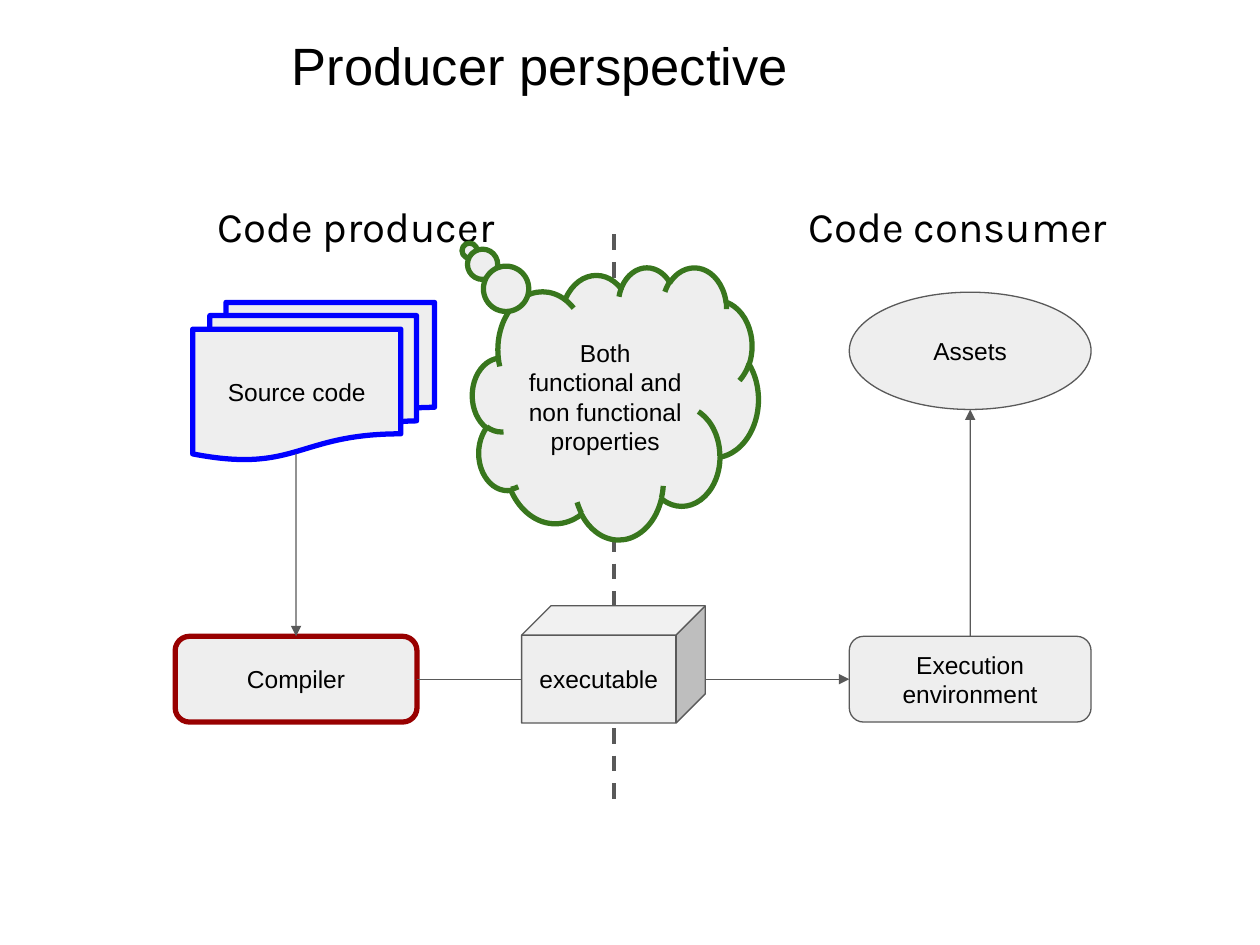
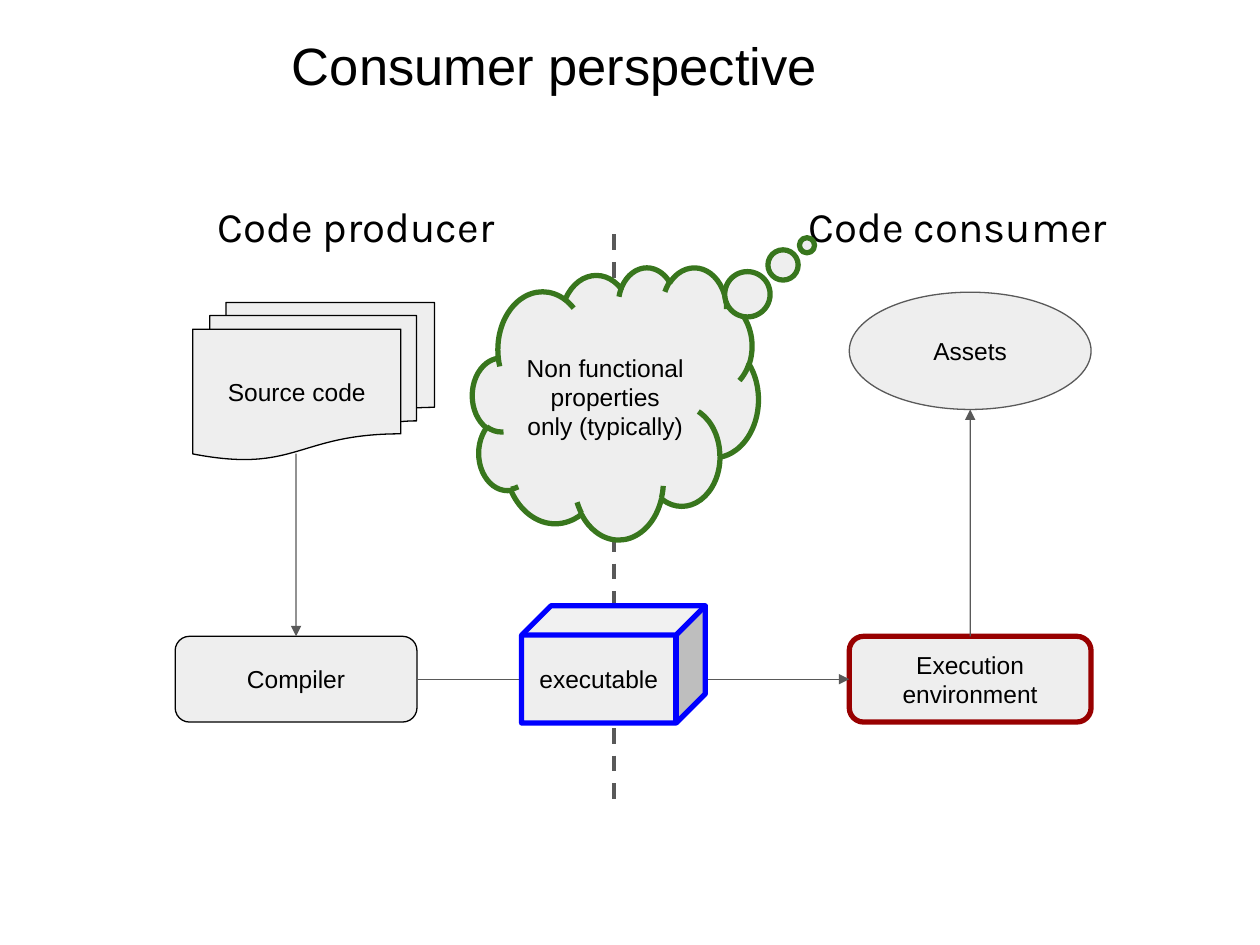
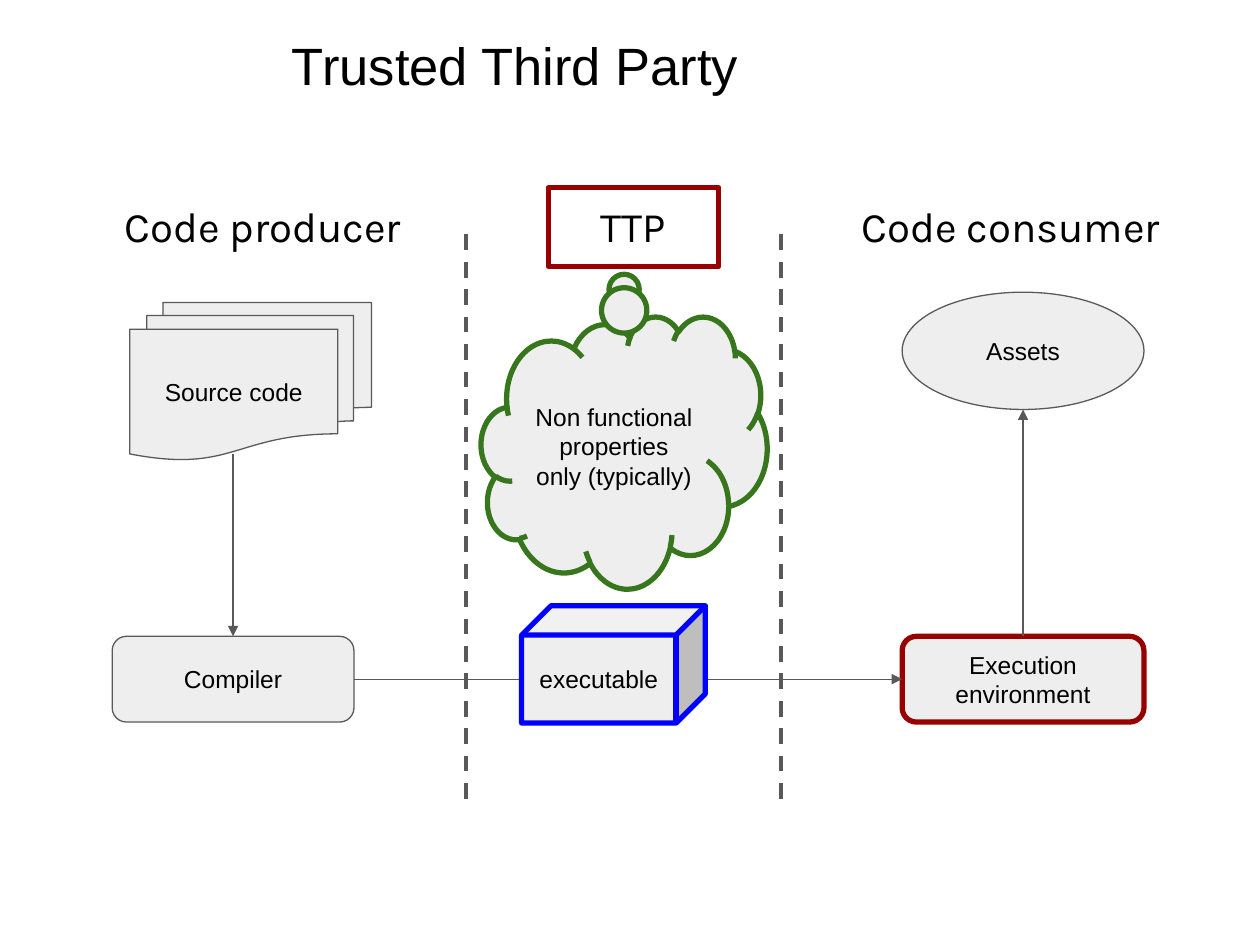
from dataclasses import dataclass
from lxml.etree import SubElement
from pptx import Presentation
from pptx.dml.color import RGBColor
from pptx.enum.dml import MSO_LINE
from pptx.enum.shapes import MSO_CONNECTOR, MSO_SHAPE
from pptx.enum.text import MSO_ANCHOR, PP_ALIGN
from pptx.oxml.ns import qn
from pptx.util import Pt

BLACK, GRAY, PALE = "000000", "595959", "EEEEEE"
RED, BLUE, GREEN = "980000", "0000FF", "38761D"
PLAIN = (GRAY, 0.75)
ACTOR, ARTIFACT, THOUGHT = (RED, 3), (BLUE, 3), (GREEN, 3)

TITLE = {"name": "Arial", "size": Pt(30)}
HEADING = {"name": "Karla", "size": Pt(24)}
LABEL = {"name": "Arial", "size": Pt(14)}
FRAME = {"word_wrap": True, "margin_left": Pt(7.2), "margin_right": Pt(7.2),
         "margin_top": Pt(7.2), "margin_bottom": Pt(7.2)}

TOP, BOTTOM = 107.3, 412.6
COLUMN_WIDTH = 138.2
STEP_HEIGHT = 49


@dataclass
class Box:
    left: float
    top: float
    width: float
    height: float

    @property
    def bottom(self):
        return self.top + self.height

    @property
    def center(self):
        return self.left + self.width / 2

    def lengths(self):
        return [Pt(value) for value in (self.left, self.top, self.width, self.height)]


def color(code):
    return RGBColor.from_string(code)


def apply_format(target, values):
    for name, value in values.items():
        setattr(target, name, value)


def write(shape, text, font, align, anchor):
    frame = shape.text_frame
    frame.text = text
    apply_format(frame, {**FRAME, "vertical_anchor": anchor})
    for paragraph in frame.paragraphs:
        paragraph.alignment = align
        for run in paragraph.runs:
            apply_format(run.font, font)
            run.font.color.rgb = color(BLACK)


def add_text(slide, box, text, font):
    label = slide.shapes.add_textbox(*box.lengths())
    write(label, text, font, PP_ALIGN.LEFT, MSO_ANCHOR.TOP)


def set_line(line, outline):
    code, width = outline
    line.color.rgb = color(code)
    line.width = Pt(width)


def add_node(slide, kind, box, text, outline=PLAIN, fill=PALE,
             font=LABEL, anchor=MSO_ANCHOR.MIDDLE):
    node = slide.shapes.add_shape(kind, *box.lengths())
    node.shadow.inherit = False
    if fill:
        node.fill.solid()
        node.fill.fore_color.rgb = color(fill)
    else:
        node.fill.background()
    set_line(node.line, outline)
    write(node, text, font, PP_ALIGN.CENTER, anchor)
    return node


def add_line(slide, start, end, outline=PLAIN, arrow=True):
    points = [Pt(value) for value in (*start, *end)]
    connector = slide.shapes.add_connector(MSO_CONNECTOR.STRAIGHT, *points)
    set_line(connector.line, outline)
    if arrow:
        SubElement(connector.line._get_or_add_ln(), qn("a:tailEnd"), type="triangle")
    SubElement(connector._element.spPr, qn("a:effectLst"))
    return connector


def add_divider(slide, x):
    divider = add_line(slide, (x, 134), (x, 461), (GRAY, 2.25), arrow=False)
    divider.line.dash_style = MSO_LINE.DASH


def step_box(box):
    return Box(box.left, box.bottom - STEP_HEIGHT, box.width, STEP_HEIGHT)


def add_producer(slide, box, heading_shift, source_line, compiler_line):
    add_text(slide, Box(box.left + heading_shift, box.top, 175.7, 60),
             "Code producer", HEADING)
    compiler = add_node(slide, MSO_SHAPE.ROUNDED_RECTANGLE, step_box(box),
                        "Compiler", compiler_line)
    source = Box(box.left + 10, box.top + 65.5, box.width, 90)
    add_node(slide, MSO_SHAPE.FLOWCHART_MULTIDOCUMENT, source, "Source code", source_line)
    compile_arrow = add_line(slide, (box.center, source.bottom - 3.6),
                             (box.center, step_box(box).top))
    compile_arrow.end_connect(compiler, 0)
    return compiler


def add_consumer(slide, box, environment_line):
    add_text(slide, Box(box.left - 30.3, box.top, 198.7, 60), "Code consumer", HEADING)
    environment = add_node(slide, MSO_SHAPE.ROUNDED_RECTANGLE, step_box(box),
                           "Execution environment", environment_line)
    assets = Box(box.left, box.top + 59.7, box.width, 67)
    add_node(slide, MSO_SHAPE.OVAL, assets, "Assets")
    access_arrow = add_line(slide, (box.center, step_box(box).top),
                            (box.center, assets.bottom))
    access_arrow.begin_connect(environment, 0)
    return environment


def add_delivery(slide, compiler, environment):
    delivery = add_line(slide, (0, 0), (0, 0))
    delivery.begin_connect(compiler, 3)
    delivery.end_connect(environment, 1)


def add_thought(slide, left, top, text, pointer):
    cloud = add_node(slide, MSO_SHAPE.CLOUD_CALLOUT, Box(left, top, 163.4, 155.5),
                     text, THOUGHT)
    for index, offset in enumerate(pointer):
        cloud.adjustments[index] = offset


def add_perspective(deck, title, thought, producer_left=100.1, consumer_left=485.3,
                    heading_shift=17.3, dividers=(350.7,), source_line=PLAIN,
                    compiler_line=PLAIN, environment_line=ACTOR,
                    executable_line=ARTIFACT, third_party=None):
    slide = deck.slides.add_slide(deck.slide_layouts[6])
    add_text(slide, Box(159.8, 11.5, 535.7, 60), title, TITLE)
    for x in dividers:
        add_divider(slide, x)
    height = BOTTOM - TOP
    compiler = add_producer(slide, Box(producer_left, TOP, COLUMN_WIDTH, height),
                            heading_shift, source_line, compiler_line)
    environment = add_consumer(slide, Box(consumer_left, TOP, COLUMN_WIDTH, height),
                               environment_line)
    add_delivery(slide, compiler, environment)
    if third_party:
        add_node(slide, MSO_SHAPE.RECTANGLE, Box(313.4, TOP, 97.4, 45), third_party,
                 ACTOR, None, HEADING, MSO_ANCHOR.TOP)
    add_thought(slide, *thought)
    add_node(slide, MSO_SHAPE.CUBE, Box(298.1, 346.2, 105, 67), "executable",
             executable_line)


def main():
    deck = Presentation()
    deck.slide_width, deck.slide_height = Pt(720), Pt(540)
    non_functional = "Non functional properties\nonly (typically)"
    add_perspective(
        deck, "Producer perspective",
        (270, 152.6, "Both functional and non functional properties", (-0.51, -0.56)),
        source_line=ARTIFACT, compiler_line=ACTOR,
        environment_line=PLAIN, executable_line=PLAIN)
    add_perspective(
        deck, "Consumer perspective", (270, 152.6, non_functional, (0.67, -0.58)),
        source_line=(BLACK, 0.75), compiler_line=(BLACK, 0.75))
    add_perspective(
        deck, "Trusted Third Party", (275, 180.7, non_functional, (0, -0.62)),
        producer_left=64.1, consumer_left=515.5, heading_shift=0,
        dividers=(266.4, 446.4), third_party="TTP")
    deck.save("out.pptx")


if __name__ == "__main__":
    main()
